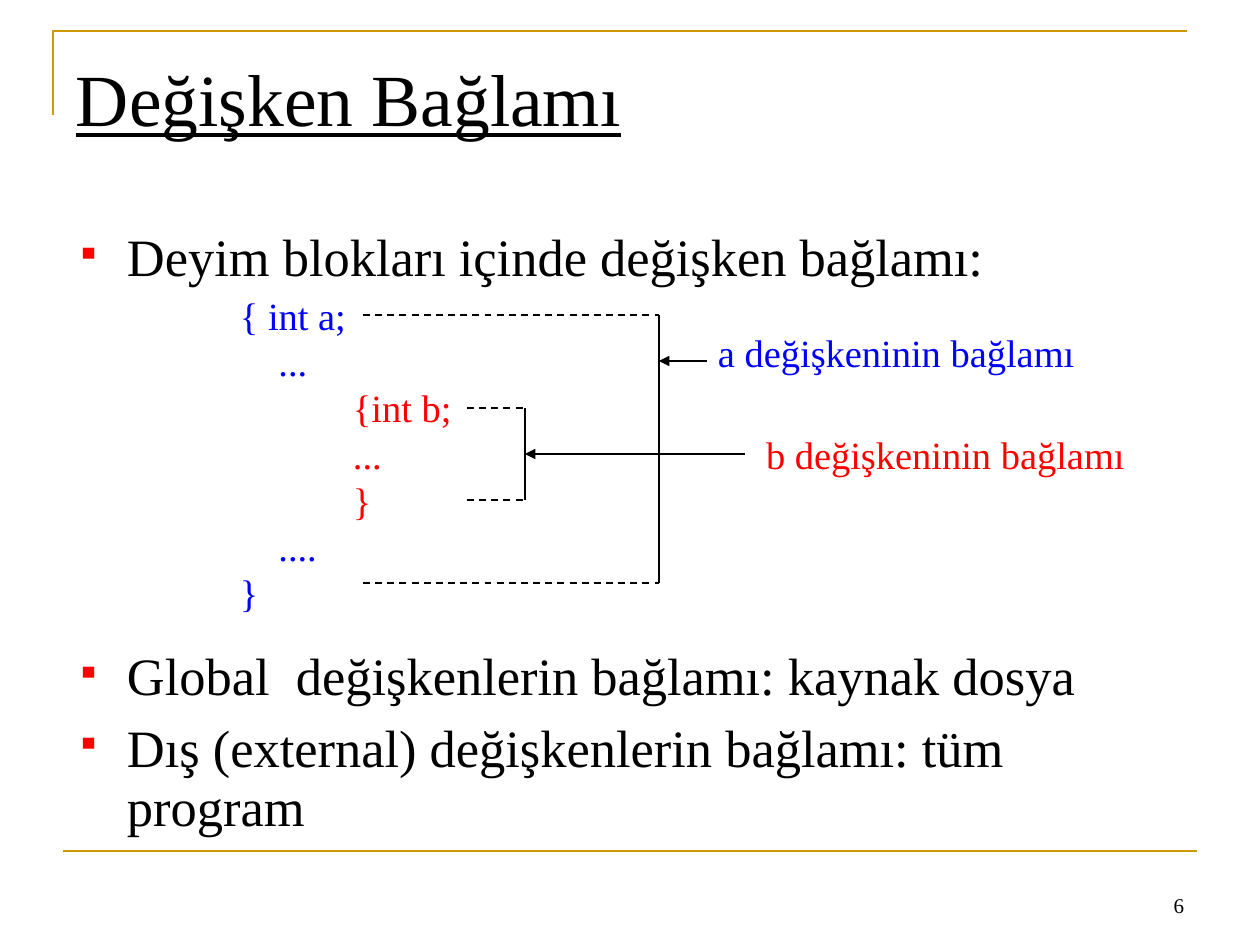
from dataclasses import dataclass

from lxml import etree
from pptx import Presentation
from pptx import util as u
from pptx.dml.color import RGBColor
from pptx.enum import dml, shapes, text
from pptx.oxml.ns import qn

PX = 914400 / 126


@dataclass(frozen=True)
class Theme:
    """Colours, font and type sizes of the slide."""
    font: str = "Times New Roman"
    ink: str = "000000"
    rule: str = "CC9900"
    outer: str = "0000FF"
    inner: str = "FF0000"
    title: int = 42
    body: int = 30
    code: int = 22
    number: int = 12


THEME = Theme()


def px(length):
    """Turn px into EMU."""
    return u.Emu(round(length * PX))


def style(paragraph, size, colour):
    """Set the font of a whole paragraph."""
    paragraph.font.name = THEME.font
    paragraph.font.size = u.Pt(size)
    paragraph.font.color.rgb = RGBColor.from_string(colour)


def add_box(slide, box, inset=(13, 6), wrap=True):
    """Place an empty text box and return its text frame."""
    frame = slide.shapes.add_textbox(*map(px, box)).text_frame
    frame.word_wrap = wrap
    frame.margin_left = frame.margin_right = px(inset[0])
    frame.margin_top = frame.margin_bottom = px(inset[1])
    return frame


def add_paragraphs(frame, lines):
    """Yield one paragraph for each line, with its text set."""
    for index, line in enumerate(lines):
        paragraph = frame.add_paragraph() if index else frame.paragraphs[0]
        paragraph.text = line
        yield paragraph


def add_code_text(slide, box, lines):
    """Write unwrapped (text, colour) lines in the code size."""
    frame = add_box(slide, box, (11, 5), False)
    paragraphs = add_paragraphs(frame, [line for line, _ in lines])
    for paragraph, (line, colour) in zip(paragraphs, lines):
        if line.startswith("\t"):
            tabs = etree.SubElement(paragraph._p.get_or_add_pPr(), qn("a:tabLst"))
            etree.SubElement(tabs, qn("a:tab"), pos=str(px(113)), algn="l")
        style(paragraph, THEME.code, colour)


def add_line(slide, start, end, colour=THEME.ink, width=1, dashed=False, arrow=False):
    """Draw a straight line, dashed or with an arrowhead at its end."""
    line = slide.shapes.add_connector(
        shapes.MSO_CONNECTOR.STRAIGHT, *map(px, (*start, *end)))
    line.line.color.rgb = RGBColor.from_string(colour)
    line.line.width = u.Pt(width)
    if dashed:
        line.line.dash_style = dml.MSO_LINE.DASH
    if arrow:
        outline = line._element.spPr.find(qn("a:ln"))
        etree.SubElement(outline, qn("a:tailEnd"), type="triangle")
    etree.SubElement(line._element.spPr, qn("a:effectLst"))


def add_frame(slide, box):
    """Draw the corner rule, the bottom rule and the slide number."""
    left, top, width, height = box
    builder = slide.shapes.build_freeform(left, top + 84, scale=PX)
    builder.add_line_segments([(left, top), (left + width, top)], close=False)
    corner = builder.convert_to_shape()
    corner.shadow.inherit = False
    corner.fill.background()
    corner.line.color.rgb = RGBColor.from_string(THEME.rule)
    corner.line.width = u.Pt(1.5)
    bottom = top + height
    add_line(slide, (left + 10, bottom), (left + 10 + width, bottom), THEME.rule, 1.5)
    frame = add_box(slide, (left + 850, bottom + 10, 294, 63))
    frame.vertical_anchor = text.MSO_ANCHOR.BOTTOM
    for number in add_paragraphs(frame, ["6"]):
        number.alignment = text.PP_ALIGN.RIGHT
        style(number, THEME.number, THEME.ink)


def add_title(slide, box):
    """Write the underlined title."""
    for title in add_paragraphs(add_box(slide, box), ["Değişken Bağlamı"]):
        style(title, THEME.title, THEME.ink)
        title.font.underline = True


def add_bullets(slide, box, items):
    """Write a list with small square bullets."""
    for index, item in enumerate(add_paragraphs(add_box(slide, box), items)):
        item.line_spacing = 0.93
        if index:
            item.space_before = u.Pt(7.5)
        properties = item._p.get_or_add_pPr()
        properties.set("marL", str(px(51)))
        properties.set("indent", str(px(-51)))
        colour = etree.SubElement(properties, qn("a:buClr"))
        etree.SubElement(colour, qn("a:srgbClr"), val=THEME.inner)
        etree.SubElement(properties, qn("a:buSzPct"), val="65000")
        etree.SubElement(properties, qn("a:buChar"), char="▪")
        style(item, THEME.body, THEME.ink)


def add_scope(slide, box, arrow_start, label_box, label, colour):
    """Bracket a block of code and point a label at the bracket."""
    left, top, width, height = box
    right, bottom = left + width, top + height
    for y in (bottom, top):
        add_line(slide, (left, y), (right, y), dashed=True)
    add_line(slide, (right, top), (right, bottom))
    add_line(slide, arrow_start, (right, arrow_start[1]), arrow=True)
    add_code_text(slide, label_box, [(label, colour)])


def add_code(slide, box):
    """Write the nested blocks and mark the scope of each variable."""
    left, top, _, _ = box
    outer, inner = THEME.outer, THEME.inner
    add_code_text(slide, box, [
        ("{ int a;", outer), ("    ...", outer), ("\t{int b;", inner),
        ("\t...", inner), ("\t}", inner), ("    ....", outer), ("}", outer),
    ])
    add_scope(slide, (left + 134, top + 28, 296, 268), (left + 478, top + 74),
              (left + 478, top + 37, 379, 58), "a değişkeninin bağlamı", outer)
    add_scope(slide, (left + 238, top + 121, 58, 92), (left + 516, top + 167),
              (left + 526, top + 139, 382, 58), "b değişkeninin bağlamı", inner)


def main():
    """Build and save the slide."""
    deck = Presentation()
    deck.slide_width, deck.slide_height = px(1260), px(945)
    slide = deck.slides.add_slide(deck.slide_layouts[6])
    add_frame(slide, (53, 31, 1134, 820))
    add_title(slide, (63, 47, 1134, 148))
    add_bullets(slide, (63, 224, 1134, 70),
                ["Deyim blokları içinde değişken bağlamı:"])
    add_bullets(slide, (63, 643, 1134, 201),
                ["Global  değişkenlerin bağlamı: kaynak dosya",
                 "Dış (external) değişkenlerin bağlamı: tüm program"])
    add_code(slide, (229, 287, 234, 335))
    deck.save("out.pptx")


if __name__ == "__main__":
    main()
